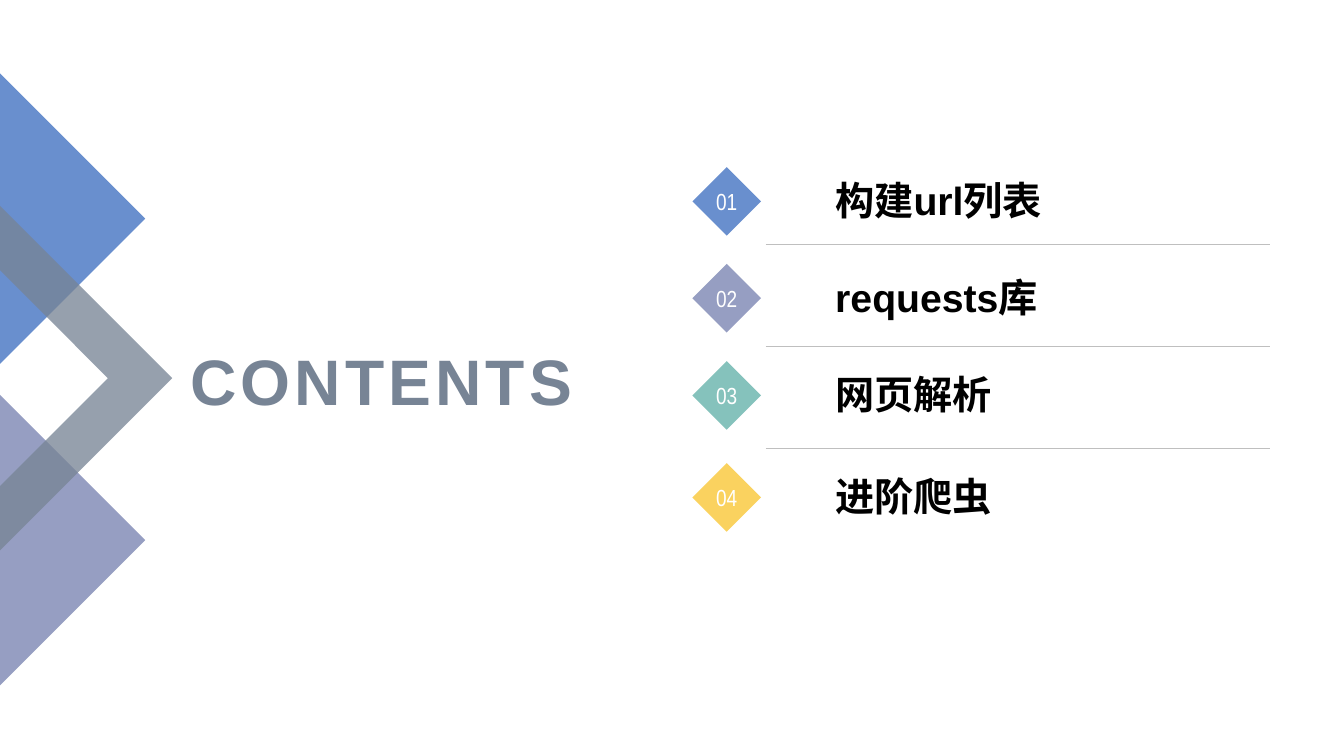
from dataclasses import dataclass

from lxml import etree
from pptx import Presentation
from pptx import util as u
from pptx.dml.color import RGBColor
from pptx.enum import shapes, text
from pptx.oxml.ns import qn


@dataclass(frozen=True)
class Theme:
    blue: str = "698FCE"
    lilac: str = "969EC2"
    teal: str = "85C2BC"
    yellow: str = "FAD25F"
    slate: str = "778495"
    rule: str = "BFBFBF"
    black: str = "000000"
    white: str = "FFFFFF"
    heading_size: float = 45.9
    topic_size: float = 28
    number_size: float = 16.6
    font: str = "Arial"
    number_font: str = "Arial Narrow"


def paint(shape, color):
    """Give a shape a flat fill with no outline or shadow."""
    shape.shadow.inherit = False
    shape.fill.solid()
    shape.fill.fore_color.rgb = RGBColor.from_string(color)
    shape.line.fill.background()


def write(frame, words, size, color, font, align, bold=False):
    frame.text = words
    paragraph = frame.paragraphs[0]
    paragraph.alignment = align
    paragraph.font.size = u.Pt(size)
    paragraph.font.name = font
    paragraph.font.bold = bold
    paragraph.font.color.rgb = RGBColor.from_string(color)
    return paragraph


theme = Theme()
prs = Presentation()
prs.slide_width, prs.slide_height = u.Cm(33.87), u.Cm(19.05)
slide = prs.slides.add_slide(prs.slide_layouts[5])

# Left ornament: two triangles under a translucent chevron
reach = 3.66
tip, inner_tip, middle = 4.34, 2.72, 9.53
ornaments = [
    (theme.lilac, [(0, 13.61 - reach), (reach, 13.61), (0, 13.61 + reach)]),
    (theme.blue, [(0, 5.51 - reach), (reach, 5.51), (0, 5.51 + reach)]),
    (theme.slate, [(0, middle - tip), (tip, middle), (0, middle + tip),
                   (0, middle + inner_tip), (inner_tip, middle),
                   (0, middle - inner_tip)]),
]
for color, corners in ornaments:
    points = [(u.Cm(x), u.Cm(y)) for x, y in corners]
    builder = slide.shapes.build_freeform(*points[0])
    builder.add_line_segments(points[1:], close=True)
    ornament = builder.convert_to_shape()
    paint(ornament, color)
chevron_color = ornament.fill._xPr.find(qn("a:solidFill"))[0]
etree.SubElement(chevron_color, qn("a:alpha")).set("val", "77000")

# Heading
heading = slide.shapes.title
heading.left, heading.top = u.Cm(4.29), u.Cm(8.28)
heading.width, heading.height = u.Cm(10.39), u.Cm(2.57)
heading.text_frame.auto_size = text.MSO_AUTO_SIZE.NONE
heading.text_frame.vertical_anchor = text.MSO_ANCHOR.MIDDLE
letters = write(heading.text_frame, "CONTENTS", theme.heading_size, theme.slate,
                theme.font, text.PP_ALIGN.RIGHT, bold=True)
letters.runs[0]._r.get_or_add_rPr().set("spc", "300")

# Numbered topics
topics = [
    ("构建url列表", theme.blue, 4.21),
    ("requests库", theme.lilac, 6.65),
    ("网页解析", theme.teal, 9.1),
    ("进阶爬虫", theme.yellow, 11.67),
]
side = 1.73
for number, (topic, color, top) in enumerate(topics, start=1):
    marker = slide.shapes.add_shape(shapes.MSO_SHAPE.DIAMOND, u.Cm(17.45),
                                    u.Cm(top), u.Cm(side), u.Cm(side))
    paint(marker, color)
    marker.text_frame.word_wrap = False
    marker.text_frame.vertical_anchor = text.MSO_ANCHOR.MIDDLE
    write(marker.text_frame, f"{number:02}", theme.number_size, theme.white,
          theme.number_font, text.PP_ALIGN.CENTER)

    label = slide.shapes.add_textbox(u.Cm(20.8), u.Cm(top + 0.18),
                                     u.Cm(11), u.Cm(1.37))
    label.text_frame.word_wrap = True
    label.text_frame.vertical_anchor = text.MSO_ANCHOR.BOTTOM
    write(label.text_frame, topic, theme.topic_size, theme.black,
          theme.font, text.PP_ALIGN.LEFT, bold=True)

# Rules between the topics
for gap in range(len(topics) - 1):
    y = u.Cm(6.15 + 2.57 * gap)
    rule = slide.shapes.add_connector(shapes.MSO_CONNECTOR.STRAIGHT,
                                      u.Cm(19.3), y, u.Cm(32), y)
    rule.line.color.rgb = RGBColor.from_string(theme.rule)
    rule.line.width = u.Pt(0.25)
    etree.SubElement(rule._element.spPr, qn("a:effectLst"))

prs.save("out.pptx")
